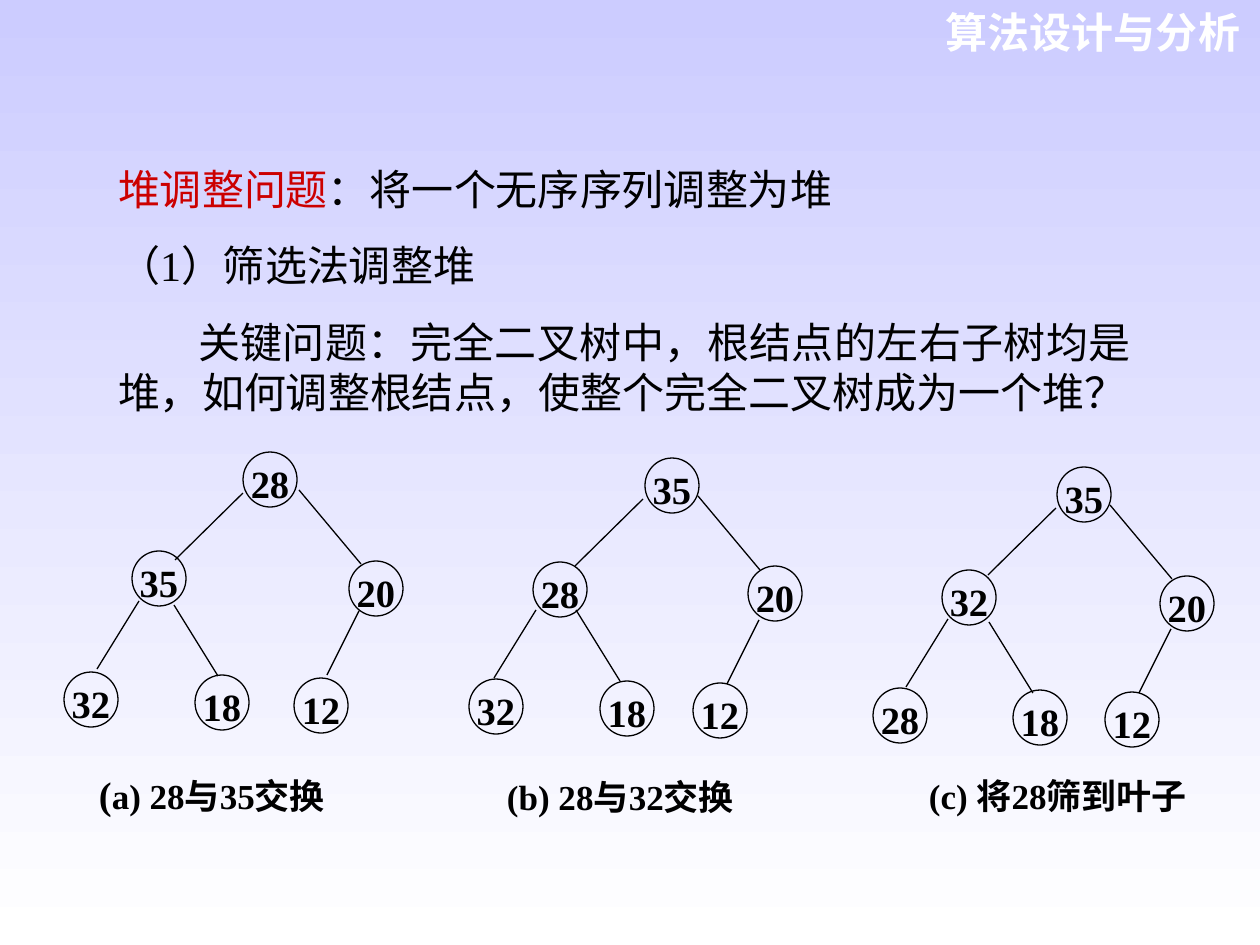
"""Build the heap adjustment slide with three sifting stages."""
from dataclasses import dataclass

from lxml.etree import SubElement
from pptx import Presentation
from pptx.dml.color import RGBColor
from pptx.enum.lang import MSO_LANGUAGE_ID as Language
from pptx.enum.shapes import MSO_CONNECTOR as Connector, MSO_SHAPE as ShapeKind
from pptx.enum.text import MSO_ANCHOR as Anchor, MSO_AUTO_SIZE as AutoSize, PP_ALIGN as Align
from pptx.oxml.ns import qn
from pptx.util import Emu, Pt

PX = 914400 / 126
BLACK = RGBColor(0x00, 0x00, 0x00)
WHITE = RGBColor(0xFF, 0xFF, 0xFF)
RED = RGBColor(0xCC, 0x00, 0x00)
LAVENDER = RGBColor(0xCC, 0xCC, 0xFF)

NODE_WIDTH, NODE_HEIGHT = 54, 55
SERIF = {"name": "Times New Roman", "language_id": Language.SIMPLIFIED_CHINESE}
HEADER_FONT = {**SERIF, "name": "Arial", "size": Pt(24), "bold": True}
BODY_FONT = {**SERIF, "size": Pt(24), "bold": False}
NODE_FONT = {**SERIF, "size": Pt(22), "bold": True}
CAPTION_FONT = {**SERIF, "size": Pt(20), "bold": True}

Point = tuple[int, int]
Box = tuple[int, int, int, int]


@dataclass(frozen=True)
class Run:
    """A piece of text with its font values and colour."""
    text: str
    font: dict
    color: RGBColor = BLACK


@dataclass(frozen=True)
class Tree:
    """A heap in level order, with edge starts and a caption."""
    values: list[int]
    nodes: list[Point]
    edge_starts: list[Point]
    caption_box: Box
    caption: list[Run]


EDGE_VECTORS = [(-68, 67), (62, 74), (-42, 68), (44, 71), (-32, 64)]

TREES = [
    Tree([28, 35, 20, 32, 18, 12],
         [(243, 452), (132, 551), (349, 561), (64, 672), (195, 675), (294, 678)],
         [(243, 493), (299, 490), (139, 601), (174, 605), (359, 611)],
         (96, 756, 244, 63),
         [Run("(", NODE_FONT), Run("a) 28与35交换", CAPTION_FONT)]),
    Tree([35, 28, 20, 32, 18, 12],
         [(645, 458), (533, 562), (748, 566), (469, 679), (600, 681), (693, 683)],
         [(643, 499), (698, 496), (536, 610), (576, 610), (759, 620)],
         (504, 760, 248, 58),
         [Run("(b) 28与32交换", CAPTION_FONT)]),
    Tree([35, 32, 20, 28, 18, 12],
         [(1057, 467), (942, 570), (1160, 576), (873, 688), (1013, 690), (1105, 692)],
         [(1056, 508), (1110, 505), (948, 619), (989, 622), (1171, 629)],
         (926, 760, 280, 60),
         [Run("(c) 将28筛到叶子", CAPTION_FONT)]),
]

BODY = [
    [Run("堆调整问题", BODY_FONT, RED), Run("：将一个无序序列调整为堆", BODY_FONT)],
    [Run("（1）筛选法调整堆", BODY_FONT)],
    [Run("关键问题：完全二叉树中，根结点的左右子树均是堆，"
         "如何调整根结点，使整个完全二叉树成为一个堆？", BODY_FONT)],
]
BODY_INDENTS = [0, 0, 80]


def px(length: int) -> Emu:
    """Turn pixels into EMU."""
    return Emu(round(length * PX))


def set_values(target, values: dict) -> None:
    """Set each named attribute on the target."""
    for name, value in values.items():
        setattr(target, name, value)


def place(shape, box: Box) -> None:
    """Move and size a shape."""
    set_values(shape, dict(zip(("left", "top", "width", "height"), map(px, box))))


def set_frame(frame, margins: Box, anchor=Anchor.TOP, wrap: bool = True) -> None:
    """Set margins, anchor and wrapping of a text frame."""
    names = ("margin_left", "margin_top", "margin_right", "margin_bottom")
    set_values(frame, dict(zip(names, map(px, margins))))
    set_values(frame, {"word_wrap": wrap, "auto_size": AutoSize.NONE,
                       "vertical_anchor": anchor})


def write(paragraph, runs: list[Run], alignment) -> None:
    """Fill a paragraph with formatted runs."""
    set_values(paragraph, {"alignment": alignment, "space_before": Pt(0)})
    for item in runs:
        run = paragraph.add_run()
        run.text = item.text
        set_values(run.font, item.font)
        run.font.color.rgb = item.color


def draw_edge(slide, start: Point, vector: Point) -> None:
    """Draw a thin line from a start point along a vector."""
    end = (start[0] + vector[0], start[1] + vector[1])
    edge = slide.shapes.add_connector(Connector.STRAIGHT, *map(px, start + end))
    edge.line.color.rgb = BLACK
    edge.line.width = Pt(0.75)
    SubElement(edge._element.spPr, qn("a:effectLst"))


def draw_node(slide, value: int, corner: Point) -> None:
    """Draw a circled number."""
    node = slide.shapes.add_shape(
        ShapeKind.OVAL, *map(px, corner + (NODE_WIDTH, NODE_HEIGHT)))
    node.shadow.inherit = False
    node.fill.background()
    node.line.color.rgb = BLACK
    node.line.width = Pt(0.75)
    set_frame(node.text_frame, (0, 7, 0, 0), Anchor.MIDDLE, False)
    write(node.text_frame.paragraphs[0], [Run(str(value), NODE_FONT)], Align.CENTER)


def draw_tree(slide, tree: Tree) -> None:
    """Draw the edges, nodes and caption of a tree."""
    for start, vector in zip(tree.edge_starts, EDGE_VECTORS):
        draw_edge(slide, start, vector)
    for value, corner in zip(tree.values, tree.nodes):
        draw_node(slide, value, corner)
    caption = slide.shapes.add_textbox(*map(px, tree.caption_box))
    set_frame(caption.text_frame, (3, 15, 3, 1))
    write(caption.text_frame.paragraphs[0], tree.caption, Align.JUSTIFY)


def fill_body(shape) -> None:
    """Write the problem statement into the body placeholder."""
    place(shape, (105, 157, 1039, 318))
    frame = shape.text_frame
    set_frame(frame, (13, 6, 13, 6))
    for index, (runs, indent) in enumerate(zip(BODY, BODY_INDENTS)):
        paragraph = frame.add_paragraph() if index else frame.paragraphs[0]
        properties = paragraph._p.get_or_add_pPr()
        properties.set("marL", "0")
        properties.set("indent", str(px(indent)))
        SubElement(properties, qn("a:buNone"))
        write(paragraph, runs, Align.JUSTIFY)
        if index:
            paragraph.space_before = Pt(15)


def main() -> None:
    """Create and save the presentation."""
    presentation = Presentation()
    set_values(presentation, {"slide_width": px(1260), "slide_height": px(945)})
    slide = presentation.slides.add_slide(presentation.slide_layouts[1])
    background = slide.background.fill
    background.gradient()
    background.gradient_angle = 270
    for stop, color in zip(background.gradient_stops, (LAVENDER, WHITE)):
        stop.color.rgb = color

    title = slide.shapes.title
    place(title, (912, 0, 341, 63))
    set_frame(title.text_frame, (13, 6, 13, 6))
    write(title.text_frame.paragraphs[0],
          [Run("算法设计与分析", HEADER_FONT, WHITE)], Align.RIGHT)
    fill_body(slide.placeholders[1])
    for tree in TREES:
        draw_tree(slide, tree)
    presentation.save("out.pptx")


if __name__ == "__main__":
    main()
